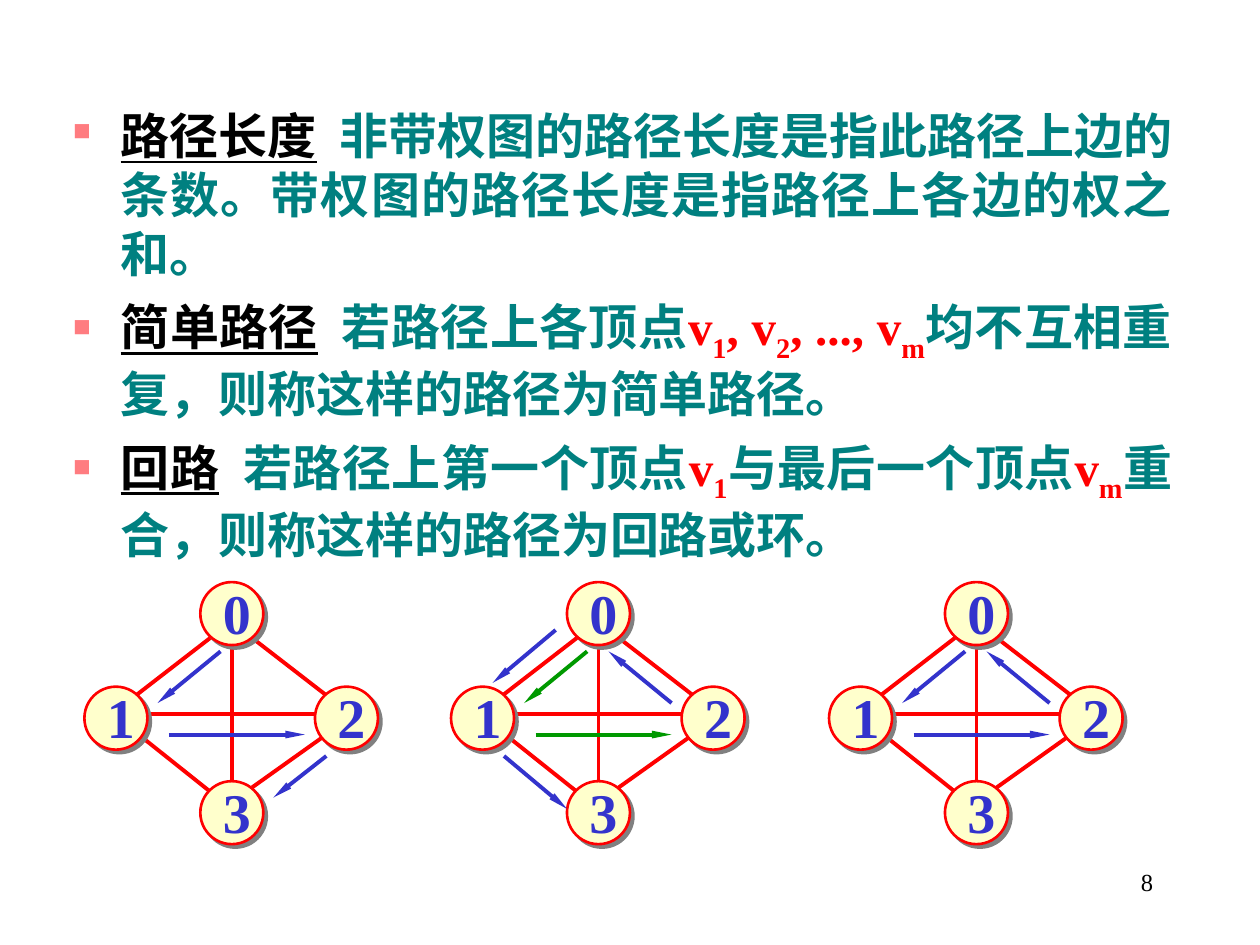
import pptx
import pptx.util
import pptx.oxml
import pptx.oxml.ns
from pptx.dml.color import RGBColor
from pptx.enum.shapes import MSO_CONNECTOR, MSO_SHAPE
from pptx.enum.text import MSO_AUTO_SIZE, PP_ALIGN
from pptx.util import Inches

BLACK = RGBColor(0x00, 0x00, 0x00)
TEAL = RGBColor(0x00, 0x80, 0x80)
RED = RGBColor(0xFF, 0x00, 0x00)
BLUE = RGBColor(0x33, 0x33, 0xCC)
GREEN = RGBColor(0x00, 0x99, 0x00)
CREAM = RGBColor(0xFF, 0xFF, 0xCC)
FONT = "Times New Roman"
NAMESPACE = pptx.oxml.ns.nsdecls("a")

# Run styles: colour, underlined, subscript
TERM = (BLACK, True, False)
GAP = (BLACK, False, False)
BODY = (TEAL, False, False)
SYMBOL = (RED, False, False)
INDEX = (RED, False, True)

DEFINITIONS = [
    [("路径长度", TERM), ("  ", GAP),
     ("非带权图的路径长度是指此路径上边的条数。带权图的路径长度是指路径上各边的权之和。", BODY)],
    [("简单路径", TERM), ("  ", GAP), ("若路径上各顶点", BODY),
     ("v", SYMBOL), ("1", INDEX), (", v", SYMBOL), ("2", INDEX),
     (", ..., v", SYMBOL), ("m", INDEX),
     ("均不互相重复，则称这样的路径为简单路径。", BODY)],
    [("回路", TERM), ("  ", GAP), ("若路径上第一个顶点", BODY),
     ("v", SYMBOL), ("1", INDEX), ("与最后一个顶点", BODY),
     ("v", SYMBOL), ("m", INDEX),
     ("重合，则称这样的路径为回路或环。", BODY)],
]

# Positions below are relative to the left edge of each graph.
GRAPH_LEFTS = [0.67, 3.58, 6.58]
NODE_SIZE = 0.5
NODES = {"1": (0, 5.45), "2": (1.83, 5.45), "0": (0.92, 4.62), "3": (0.92, 6.2)}
EDGES = [
    ((0.33, 5.75), (1.17, 6.42)),
    ((1.25, 5), (2, 5.58)),
    ((1.92, 5.83), (1.33, 6.25)),
    ((1.08, 5), (0.33, 5.58)),
    ((0.42, 5.67), (1.92, 5.67)),
    ((1.17, 5.03), (1.17, 6.5)),
]
ZERO_TO_ONE = ((1.08, 5.17), (0.58, 5.58))
ONE_TO_TWO = ((0.67, 5.83), (1.75, 5.83))
TWO_TO_ZERO = ((1.75, 5.58), (1.25, 5.17))
WALKS = [
    [(ZERO_TO_ONE, BLUE), (ONE_TO_TWO, BLUE), (((1.92, 6), (1.5, 6.33)), BLUE)],
    [(ZERO_TO_ONE, GREEN), (ONE_TO_TWO, GREEN), (TWO_TO_ZERO, BLUE),
     (((0.83, 5), (0.33, 5.42)), BLUE), (((0.42, 6), (0.92, 6.42)), BLUE)],
    [(ZERO_TO_ONE, BLUE), (ONE_TO_TWO, BLUE), (TWO_TO_ZERO, BLUE)],
]


def append_xml(parent, tag, attributes="", children=""):
    parent.append(pptx.oxml.parse_xml(
        f"<a:{tag} {NAMESPACE} {attributes}>{children}</a:{tag}>"))


def add_run(paragraph, text, size, color, bold=True):
    run = paragraph.add_run()
    run.text = text
    run.font.name = FONT
    run.font.size = pptx.util.Pt(size)
    run.font.bold = bold
    run.font.color.rgb = color
    return run


def add_text_box(slide, left, top, width, height, wrap=True):
    box = slide.shapes.add_textbox(
        Inches(left), Inches(top), Inches(width), Inches(height))
    box.text_frame.word_wrap = wrap
    return box.text_frame


def add_definitions(slide):
    frame = add_text_box(slide, 0.48, 0.79, 8.92, 3.92)
    for number, definition in enumerate(DEFINITIONS):
        paragraph = frame.add_paragraph() if number else frame.paragraphs[0]
        paragraph.alignment = PP_ALIGN.JUSTIFY
        properties = paragraph._p.get_or_add_pPr()
        properties.set("marL", str(Inches(0.38)))
        properties.set("indent", str(-Inches(0.38)))
        append_xml(properties, "buClr", children='<a:srgbClr val="FF7C80"/>')
        append_xml(properties, "buSzPct", 'val="50000"')
        append_xml(properties, "buChar", 'char="■"')
        if number:
            paragraph.space_before = pptx.util.Pt(8.4)
        for text, (color, underlined, subscript) in definition:
            run = add_run(paragraph, text, 28, color)
            run.font.underline = underlined
            if subscript:
                run._r.get_or_add_rPr().set("baseline", "-25000")


def add_line(slide, graph_left, ends, color, arrow=False):
    (x1, y1), (x2, y2) = ends
    line = slide.shapes.add_connector(
        MSO_CONNECTOR.STRAIGHT, Inches(graph_left + x1), Inches(y1),
        Inches(graph_left + x2), Inches(y2))
    line.line.color.rgb = color
    line.line.width = pptx.util.Pt(2.25)
    if arrow:
        append_xml(line.line._get_or_add_ln(), "tailEnd",
                   'type="triangle" w="sm" len="lg"')
    append_xml(line._element.spPr, "effectLst")


def add_node(slide, left, top):
    node = slide.shapes.add_shape(
        MSO_SHAPE.OVAL, Inches(left), Inches(top),
        Inches(NODE_SIZE), Inches(NODE_SIZE))
    node.fill.solid()
    node.fill.fore_color.rgb = CREAM
    node.line.color.rgb = RED
    node.line.width = pptx.util.Pt(1.5)
    append_xml(
        node._element.spPr, "effectLst", children=(
            f'<a:outerShdw dist="{pptx.util.Pt(2.8)}" dir="2700000" algn="ctr" '
            'rotWithShape="0"><a:srgbClr val="808080"/></a:outerShdw>'))


def add_graph(slide, graph_left):
    for ends in EDGES:
        add_line(slide, graph_left, ends, RED)
    for x, y in NODES.values():
        add_node(slide, graph_left + x, y)
    for label, (x, y) in NODES.items():
        frame = add_text_box(
            slide, graph_left + x + 0.08, y - 0.08, 0.42, 0.63, wrap=False)
        frame.auto_size = MSO_AUTO_SIZE.SHAPE_TO_FIT_TEXT
        add_run(frame.paragraphs[0], label, 32, BLUE)


def main():
    presentation = pptx.Presentation()
    presentation.slide_width = Inches(10)
    presentation.slide_height = Inches(7.5)
    slide = presentation.slides.add_slide(presentation.slide_layouts[6])

    add_definitions(slide)
    for graph_left in GRAPH_LEFTS:
        add_graph(slide, graph_left)
    for graph_left, walk in zip(GRAPH_LEFTS, WALKS):
        for ends, color in walk:
            add_line(slide, graph_left, ends, color, arrow=True)

    page_number = add_text_box(slide, 7.17, 6.83, 2.08, 0.5).paragraphs[0]
    page_number.alignment = PP_ALIGN.RIGHT
    add_run(page_number, "8", 14, BLACK, bold=False)
    presentation.save("out.pptx")


if __name__ == "__main__":
    main()
